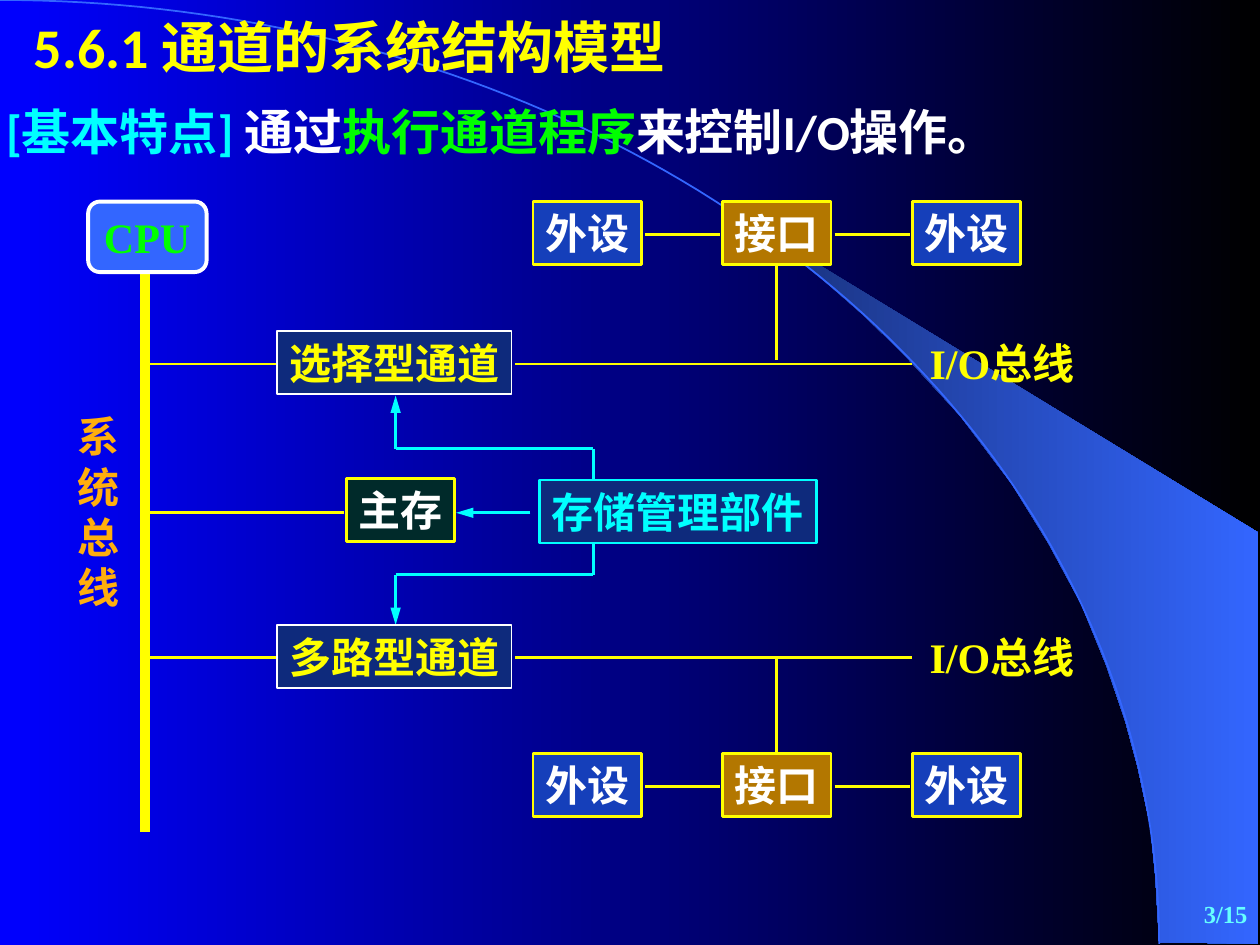
import math

from lxml import etree
from pptx import Presentation
from pptx import util as u
from pptx.dml.color import RGBColor
from pptx.enum import shapes as sh, text as tx
from pptx.oxml.ns import qn

YELLOW, CYAN, WHITE, GREEN = "FFFF00", "00FFFF", "FFFFFF", "00FF00"
NAVY, BLUE, SKY, AMBER = "0E2A7C", "153FBA", "3366FF", "B37700"
SERIF, SANS, CJK = "Times New Roman", "Calibri", "Noto Sans CJK SC"
LEFT, MID, RIGHT = tx.PP_ALIGN.LEFT, tx.PP_ALIGN.CENTER, tx.PP_ALIGN.RIGHT
# Left and right insets that leave each line room to stay unbroken
INSETS = {LEFT: (0.1, 0), MID: (0.03, 0.03), RIGHT: (0, 0.1)}


def rgb(code):
    return RGBColor.from_string(code)


def shade(fill, first, last):
    fill.gradient()
    fill.gradient_angle = 0
    for stop, code, pos in zip(fill.gradient_stops, (first, last), (0, 1)):
        stop.color.rgb = rgb(code)
        stop.position = pos


def write(shape, parts, size, font, align=LEFT):
    """Fill a shape with one paragraph of (words, colour) parts."""
    frame = shape.text_frame
    frame.word_wrap = True
    frame.auto_size = tx.MSO_AUTO_SIZE.NONE
    frame.margin_left, frame.margin_right = map(u.Inches, INSETS[align])
    para = frame.paragraphs[0]
    para.alignment = align
    for words, code in parts:
        run = para.add_run()
        run.text = words
        run.font.size = u.Pt(size)
        run.font.bold = True
        run.font.name = font
        run.font.color.rgb = rgb(code)
        east = etree.SubElement(run.font._element, qn("a:ea"))
        east.set("typeface", CJK)


def label(slide, box, parts, size, font, align=LEFT):
    shape = slide.shapes.add_textbox(*map(u.Inches, box))
    write(shape, parts, size, font, align)
    return shape


def block(slide, box, words, code, fill, edge, width=1.5, font=CJK,
          align=MID, kind=sh.MSO_SHAPE.RECTANGLE):
    shape = slide.shapes.add_shape(kind, *map(u.Inches, box))
    shape.shadow.inherit = False
    shape.fill.solid()
    shape.fill.fore_color.rgb = rgb(fill)
    shape.line.color.rgb = rgb(edge)
    shape.line.width = u.Pt(width)
    shape.text_frame.vertical_anchor = tx.MSO_ANCHOR.TOP
    write(shape, [(words, code)], 24, font, align)


def wire(slide, x1, y1, x2, y2, code=YELLOW, width=1.5, arrow=False):
    line = slide.shapes.add_connector(
        sh.MSO_CONNECTOR.STRAIGHT, *map(u.Inches, (x1, y1, x2, y2)))
    line.line.color.rgb = rgb(code)
    line.line.width = u.Pt(width)
    if arrow:
        tip = etree.SubElement(line.line._get_or_add_ln(), qn("a:tailEnd"))
        tip.set("type", "triangle")
        tip.set("len", "lg")
    etree.SubElement(line._element.spPr, qn("a:effectLst"))


def outline(slide, points, close):
    spots = [(u.Inches(x), u.Inches(y)) for x, y in points]
    pen = slide.shapes.build_freeform(*spots[0])
    pen.add_line_segments(spots[1:], close=close)
    shape = pen.convert_to_shape()
    shape.shadow.inherit = False
    return shape


def backdrop(slide):
    shade(slide.background.fill, "0000FF", "000000")
    beam = outline(slide, [
        (9.2, 7.48), (9.99, 7.49), (9.99, 4.23), (5.89, 1.73), (6.24, 1.99),
        (6.53, 2.22), (6.85, 2.5), (7.16, 2.8), (7.62, 3.3), (8.03, 3.84),
        (8.32, 4.31), (8.58, 4.79), (8.78, 5.28), (8.93, 5.72), (9.03, 6.09),
        (9.13, 6.56), (9.17, 6.96)], True)
    shade(beam.fill, "182F76", SKY)
    beam.line.fill.background()
    wide, high, steps = 9.2, 7.49, 90
    turns = [math.pi / 2 * i / steps for i in range(steps + 1)]
    arc = outline(slide, [(wide * math.sin(t), high * (1 - math.cos(t)))
                          for t in turns], False)
    arc.fill.background()
    arc.line.color.rgb = rgb(SKY)
    arc.line.width = u.Pt(1)


def headings(slide):
    label(slide, (-0.05, 0.76, 8.53, 0.57),
          [("[基本特点] ", CYAN), ("通过", WHITE), ("执行通道程序", GREEN),
           ("来控制I/O操作。", WHITE)], 28, SANS)
    label(slide, (0.17, 0.05, 5.32, 0.64),
          [("5.6.1 通道的系统结构模型", YELLOW)], 32, SANS)
    page = label(slide, (7.92, 7, 2.08, 0.5), [("3/15", "66FFFF")], 14,
                 SERIF, RIGHT)
    page.text_frame.vertical_anchor = tx.MSO_ANCHOR.MIDDLE


def storage(slide, x, y):
    """Storage manager at x, y with its links to memory and both channels."""
    left, stem = x - 1.14, x + 0.43
    wire(slide, x - 0.07, y + 0.26, x - 0.66, y + 0.26, CYAN, arrow=True)
    for bend, tip in ((y - 0.25, y - 0.67), (y + 0.75, y + 1.15)):
        wire(slide, left, bend, left, tip, CYAN, arrow=True)
        wire(slide, left, bend, stem, bend, CYAN)
    wire(slide, stem, y - 0.25, stem, y + 0.75, CYAN)
    block(slide, (x, y, 2.2, 0.5), "存储管理部件", CYAN, NAVY, CYAN,
          font=SERIF)


def channel(slide, x, y, name):
    mid = y + 0.26
    block(slide, (x, y, 1.86, 0.5), name, YELLOW, NAVY, WHITE, 1, SERIF, LEFT)
    wire(slide, x - 1.03, mid, x - 0.01, mid)
    wire(slide, x + 1.89, mid, x + 5.04, mid)
    label(slide, (x + 5.08, y, 1.43, 0.5), [("I/O总线", YELLOW)], 24, SERIF)


def devices(slide, x, y, start, end):
    """Interface between two devices, joined to its bus from start to end."""
    gap, wide, mid = 1.505, 0.86, y + 0.26
    parts = (("外设", BLUE), ("接口", AMBER), ("外设", BLUE))
    for i, (name, fill) in enumerate(parts):
        left = x + i * gap
        block(slide, (left, y, wide, 0.5), name, WHITE, fill, YELLOW)
        if i:
            wire(slide, left - gap + wide + 0.03, mid, left - 0.02, mid)
    stem = x + gap + wide / 2
    wire(slide, stem, start, stem, end)


def system(slide, x, y):
    """CPU at x, y above the system bus, with main memory."""
    bus, mid = x + 0.45, y + 2.47
    block(slide, (x + 2.05, y + 2.2, 0.86, 0.5), "主存", WHITE, "002A2A",
          YELLOW)
    wire(slide, bus, mid, x + 2.03, mid)
    wire(slide, bus, y + 0.56, bus, y + 5, width=6)
    label(slide, (x - 0.18, y + 1.61, 0.63, 1.7), [("系统总线", "FFAE0D")],
          24, CJK)
    block(slide, (x, y, 0.94, 0.56), "CPU", GREEN, SKY, WHITE, 2.25, SERIF,
          LEFT, sh.MSO_SHAPE.ROUNDED_RECTANGLE)


def main():
    deck = Presentation()
    deck.slide_width, deck.slide_height = u.Inches(10), u.Inches(7.5)
    slide = deck.slides.add_slide(deck.slide_layouts[6])
    backdrop(slide)
    headings(slide)
    storage(slide, 4.28, 3.81)
    channel(slide, 2.2, 4.96, "多路型通道")
    channel(slide, 2.2, 2.63, "选择型通道")
    devices(slide, 4.23, 1.6, 2.11, 2.86)
    devices(slide, 4.23, 5.98, 5.23, 5.97)
    system(slide, 0.7, 1.6)
    deck.save("out.pptx")


if __name__ == "__main__":
    main()
